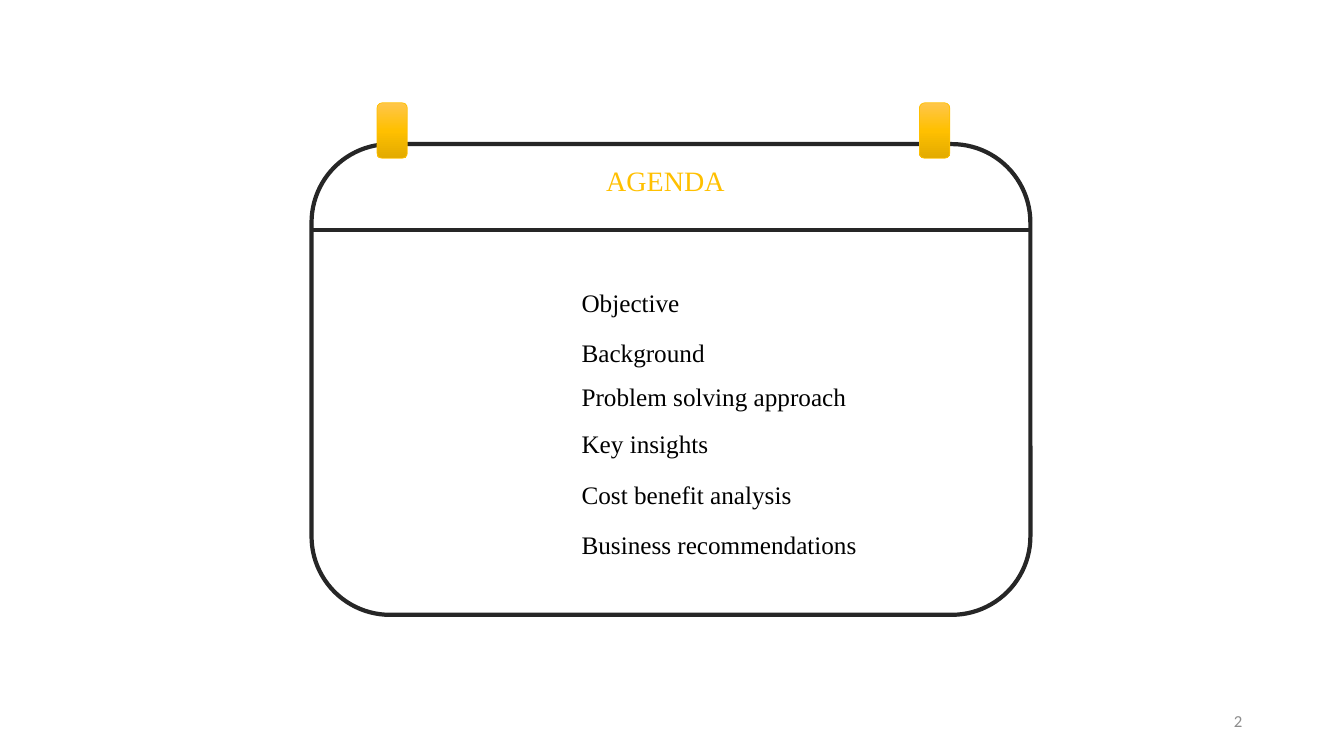
from copy import deepcopy
from dataclasses import dataclass

from lxml.etree import SubElement
from pptx import Presentation
from pptx.dml.color import RGBColor
from pptx.enum.shapes import MSO_CONNECTOR, MSO_SHAPE
from pptx.enum.text import MSO_ANCHOR, MSO_AUTO_SIZE, PP_ALIGN
from pptx.oxml.ns import qn
from pptx.util import Inches, Pt


@dataclass(frozen=True)
class Theme:
    paper: str = "FFFFFF"
    ink: str = "262626"
    text: str = "000000"
    accent: str = "FFC000"
    muted: str = "8C8C8C"
    clip_gradient: tuple = ((0, "FFC64B"), (0.5, "FFC000"), (1, "E3AB00"))
    font: str = "Times New Roman"
    number_font: str = "Calibri"
    title_size: int = 20
    item_size: int = 18
    number_size: int = 12
    board_line: float = 3
    clip_line: float = 0.5


@dataclass(frozen=True)
class Box:
    left: float
    top: float
    width: float
    height: float

    def inches(self):
        return [Inches(value) for value in (self.left, self.top, self.width, self.height)]


THEME = Theme()
SLIDE_WIDTH, SLIDE_HEIGHT = 13.33, 7.5
BOARD = Box(3.09, 1.43, 7.13, 4.67)
HEADER_HEIGHT = 0.85
CLIP_WIDTH, CLIP_HEIGHT, CLIP_RISE = 0.3, 0.55, 0.41
CLIP_OFFSETS = (0.65, 6.03)
TEXT_OFFSET = 2.58
ITEM_HEIGHT = 0.4
# Agenda item, distance below the board's top, width
AGENDA = (
    ("Objective", 1.37, 1.27),
    ("Background", 1.87, 1.47),
    ("Problem solving approach", 2.3, 2.88),
    ("Key insights", 2.77, 1.47),
    ("Cost benefit analysis", 3.28, 2.4),
    ("Business recommendations", 3.77, 3.03),
)


def color(value):
    return RGBColor.from_string(value)


def set_line(shape, value, width):
    shape.line.color.rgb = color(value)
    shape.line.width = Pt(width)


def write_text(shape, text, size, value, font=THEME.font,
               alignment=PP_ALIGN.LEFT, anchor=MSO_ANCHOR.TOP):
    frame = shape.text_frame
    frame.text = text
    frame.word_wrap = True
    frame.auto_size = MSO_AUTO_SIZE.NONE
    frame.vertical_anchor = anchor
    paragraph = frame.paragraphs[0]
    paragraph.alignment = alignment
    run_font = paragraph.runs[0].font
    run_font.name = font
    run_font.size = Pt(size)
    run_font.color.rgb = color(value)


def add_rounded_box(slide, box):
    shape = slide.shapes.add_shape(MSO_SHAPE.ROUNDED_RECTANGLE, *box.inches())
    shape.shadow.inherit = False
    return shape


def add_board(slide, box):
    """Draw the calendar page with the rule below its header."""
    board = add_rounded_box(slide, box)
    board.fill.solid()
    board.fill.fore_color.rgb = color(THEME.paper)
    set_line(board, THEME.ink, THEME.board_line)
    rule_top = Inches(box.top + HEADER_HEIGHT)
    rule = slide.shapes.add_connector(
        MSO_CONNECTOR.STRAIGHT, Inches(box.left), rule_top,
        Inches(box.left + box.width), rule_top)
    set_line(rule, THEME.ink, THEME.board_line)
    SubElement(rule._element.spPr, qn("a:effectLst"))


def add_clips(slide, board):
    for offset in CLIP_OFFSETS:
        clip = add_rounded_box(slide, Box(board.left + offset, board.top - CLIP_RISE,
                                          CLIP_WIDTH, CLIP_HEIGHT))
        clip.fill.gradient()
        clip.fill.gradient_angle = 270
        stop_list = clip._element.spPr.find(".//" + qn("a:gsLst"))
        stop_list.insert(1, deepcopy(stop_list[0]))
        for stop, (position, value) in zip(clip.fill.gradient_stops, THEME.clip_gradient):
            stop.position = position
            stop.color.rgb = color(value)
        set_line(clip, THEME.accent, THEME.clip_line)


def place_title(slide, board):
    """Move the title into the board's header, in front of the board."""
    title = slide.shapes.title
    box = Box(board.left + TEXT_OFFSET, board.top + 0.14, 1.86, 0.44)
    title.left, title.top, title.width, title.height = box.inches()
    write_text(title, "AGENDA", THEME.title_size, THEME.accent, alignment=PP_ALIGN.CENTER)
    slide.shapes._spTree.append(title._element)


def add_agenda(slide, board):
    for text, offset, width in AGENDA:
        box = Box(board.left + TEXT_OFFSET, board.top + offset, width, ITEM_HEIGHT)
        item = slide.shapes.add_textbox(*box.inches())
        write_text(item, text, THEME.item_size, THEME.text)


def add_page_number(slide, box):
    number = slide.shapes.add_textbox(*box.inches())
    write_text(number, "2", THEME.number_size, THEME.muted, THEME.number_font,
               PP_ALIGN.RIGHT, MSO_ANCHOR.MIDDLE)


def build_agenda_slide(presentation):
    slide = presentation.slides.add_slide(presentation.slide_layouts[5])
    add_board(slide, BOARD)
    add_clips(slide, BOARD)
    place_title(slide, BOARD)
    add_agenda(slide, BOARD)
    add_page_number(slide, Box(9.42, 6.95, 3, 0.4))


def main():
    presentation = Presentation()
    presentation.slide_width = Inches(SLIDE_WIDTH)
    presentation.slide_height = Inches(SLIDE_HEIGHT)
    build_agenda_slide(presentation)
    presentation.save("out.pptx")


if __name__ == "__main__":
    main()
